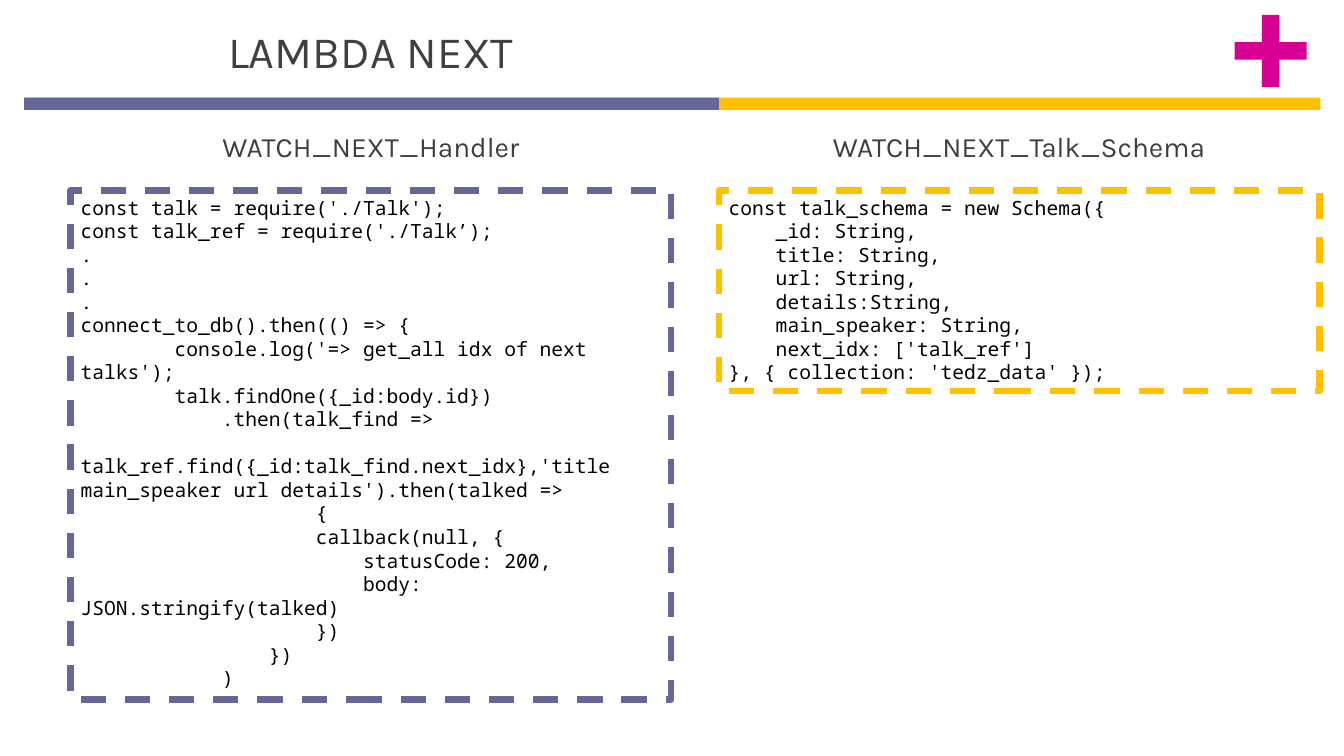
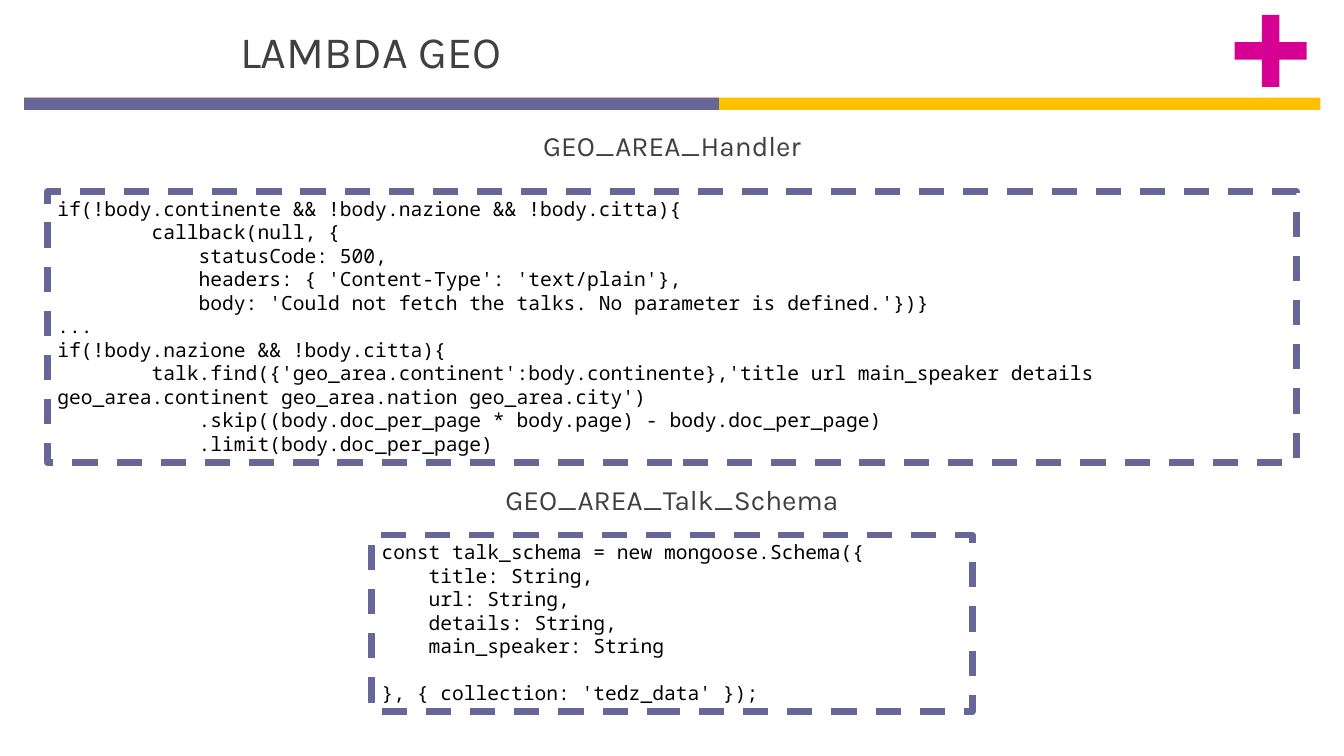
from pptx import Presentation
from pptx.dml.color import RGBColor
from pptx.enum.dml import MSO_LINE
from pptx.enum.shapes import MSO_SHAPE
from pptx.enum.text import MSO_ANCHOR, MSO_AUTO_SIZE, PP_ALIGN
from pptx.util import Inches, Pt

RECT, PLUS = MSO_SHAPE.RECTANGLE, MSO_SHAPE.MATH_PLUS
DASH = MSO_LINE.DASH
TOP = MSO_ANCHOR.TOP
GROW = MSO_AUTO_SIZE.SHAPE_TO_FIT_TEXT
LEFT, CENTER = PP_ALIGN.LEFT, PP_ALIGN.CENTER

COLORS = {"violet": "666699", "amber": "FFC000", "magenta": "D60093",
          "heading": "404040", "code": "000000"}
SANS, MONO = "Karla", "Noto Sans Mono"
WIDTH, HEIGHT = Inches(13.33), Inches(7.5)
TITLE_ONLY = 5

# Column centres, box and heading widths, as percent of the slide's width
LEFT_COLUMN, MIDDLE, RIGHT_COLUMN = 27.6, 50, 75.83
HALF, FULL = 44.7, 92.93
NARROW, WIDE = 24.6, 33.15
HEADING_HEIGHT = 5.87

WATCH_HANDLER = """const talk = require('./Talk');
const talk_ref = require('./Talk’);
.
.
.
connect_to_db().then(() => {
        console.log('=> get_all idx of next talks');
        talk.findOne({_id:body.id})
            .then(talk_find => 
                    talk_ref.find({_id:talk_find.next_idx},'title main_speaker url details').then(talked =>
                    {
                    callback(null, {
                        statusCode: 200,
                        body: JSON.stringify(talked)
                    })
                })
            )"""

WATCH_SCHEMA = """const talk_schema = new Schema({
    _id: String,
    title: String,
    url: String,
    details:String,
    main_speaker: String,
    next_idx: ['talk_ref']
}, { collection: 'tedz_data' });"""

GEO_HANDLER = """if(!body.continente && !body.nazione && !body.citta){
        callback(null, {
            statusCode: 500,
            headers: { 'Content-Type': 'text/plain'},
            body: 'Could not fetch the talks. No parameter is defined.'})}
...
if(!body.nazione && !body.citta){
        talk.find({'geo_area.continent':body.continente},'title url main_speaker details geo_area.continent geo_area.nation geo_area.city')
            .skip((body.doc_per_page * body.page) - body.doc_per_page)
            .limit(body.doc_per_page)"""

GEO_SCHEMA = """const talk_schema = new mongoose.Schema({
    title: String,
    url: String,
    details: String,
    main_speaker: String
    
}, { collection: 'tedz_data' });"""


def color(name):
    return RGBColor.from_string(COLORS[name])


def area(left, top, width, height):
    """Turn percentages of the slide into lengths."""
    return (int(WIDTH * left / 100), int(HEIGHT * top / 100),
            int(WIDTH * width / 100), int(HEIGHT * height / 100))


def write(shape, text, font, size, ink, align):
    frame = shape.text_frame
    frame.text = text
    frame.word_wrap = True
    frame.auto_size = GROW
    frame.vertical_anchor = TOP
    for paragraph in frame.paragraphs:
        paragraph.alignment = align
        for run in paragraph.runs:
            run.font.name = font
            run.font.size = Pt(size)
            run.font.color.rgb = color(ink)


def add_solid(slide, kind, place, fill):
    solid = slide.shapes.add_shape(kind, *area(*place))
    solid.shadow.inherit = False
    solid.fill.solid()
    solid.fill.fore_color.rgb = color(fill)
    solid.line.fill.background()
    return solid


def add_code_box(slide, code, place, outline):
    box = slide.shapes.add_shape(RECT, *area(*place))
    box.shadow.inherit = False
    box.fill.background()
    box.line.color.rgb = color(outline)
    box.line.width = Pt(4.5)
    box.line.dash_style = DASH
    write(box, code, MONO, 14, "code", LEFT)


def add_section(slide, heading, code, center, heading_top, heading_width,
                top, width, height, outline="violet"):
    """Heading centred above a dashed box of code."""
    label = slide.shapes.add_textbox(*area(
        center - heading_width / 2, heading_top, heading_width, HEADING_HEIGHT))
    write(label, heading, SANS, 20, "heading", CENTER)
    add_code_box(slide, code, (center - width / 2, top, width, height), outline)


def add_lambda_slide(deck, title):
    slide = deck.slides.add_slide(deck.slide_layouts[TITLE_ONLY])
    # Two-coloured band and corner plus
    add_solid(slide, RECT, (1.8, 12.93, 96.45, 1.6), "amber")
    add_solid(slide, RECT, (1.8, 12.93, 51.7, 1.6), "violet")
    plus = add_solid(slide, PLUS, (90.9, 0.27, 7.28, 12.93), "magenta")
    plus.adjustments[0] = 0.18
    # Title
    name = slide.shapes.title
    name.left, name.top, name.width, name.height = area(10.35, 2.53, 34.5, 8.53)
    write(name, title, SANS, 32, "heading", CENTER)
    return slide


def main():
    deck = Presentation()
    deck.slide_width, deck.slide_height = WIDTH, HEIGHT

    # Handler and schema side by side
    watch_next = add_lambda_slide(deck, "LAMBDA NEXT")
    add_section(watch_next, "WATCH_NEXT_Handler", WATCH_HANDLER,
                LEFT_COLUMN, 16.5, NARROW, 25.2, HALF, 67.33)
    add_section(watch_next, "WATCH_NEXT_Talk_Schema", WATCH_SCHEMA,
                RIGHT_COLUMN, 16.5, WIDE, 25.2, HALF, 26.53, "amber")

    # Handler above schema
    geo = add_lambda_slide(deck, "LAMBDA GEO")
    add_section(geo, "GEO_AREA_Handler", GEO_HANDLER,
                MIDDLE, 16.4, NARROW, 25.33, FULL, 35.87)
    add_section(geo, "GEO_AREA_Talk_Schema", GEO_SCHEMA,
                MIDDLE, 63.2, WIDE, 70.8, HALF, 23.33)

    deck.save("out.pptx")


main()
